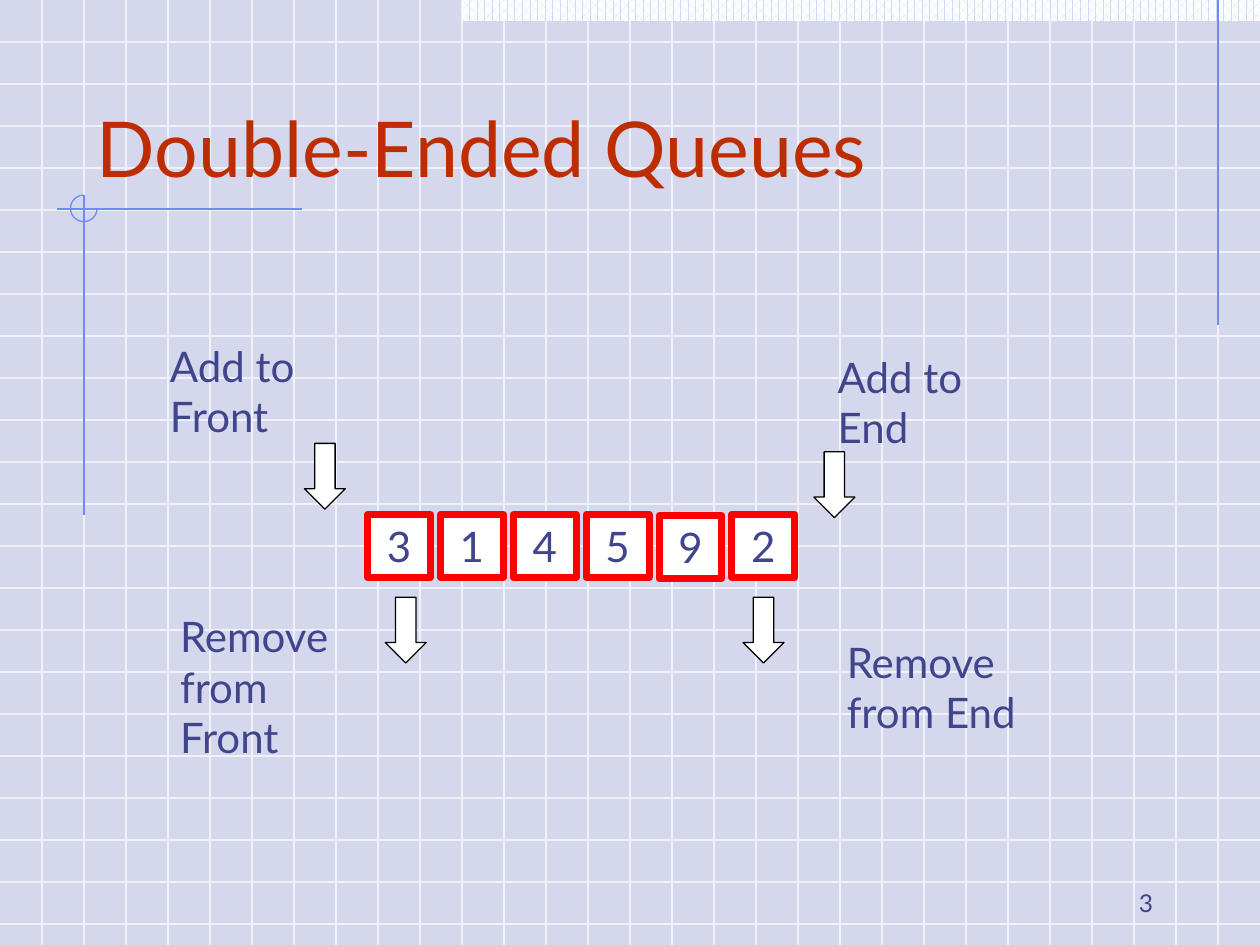
from lxml.etree import SubElement
from pptx import Presentation
from pptx.dml.color import RGBColor
from pptx.enum.dml import MSO_PATTERN
from pptx.enum.shapes import MSO_CONNECTOR, MSO_SHAPE
from pptx.enum.text import MSO_ANCHOR, PP_ALIGN
from pptx.oxml.ns import qn
from pptx.util import Pt

PAPER = RGBColor(0xD5, 0xD7, 0xEC)
GRID = RGBColor(0xF0, 0xF2, 0xFA)
PALE = RGBColor(0xCF, 0xDB, 0xFD)
BLUE = RGBColor(0x6F, 0x89, 0xF7)
RUST = RGBColor(0xBE, 0x2D, 0x00)
INK = RGBColor(0x40, 0x45, 0x8C)
RED = RGBColor(0xFF, 0x00, 0x00)
BLACK = RGBColor(0x00, 0x00, 0x00)
WHITE = RGBColor(0xFF, 0xFF, 0xFF)

WIDE, HIGH = 720, 540
deck = Presentation()
deck.slide_width, deck.slide_height = Pt(WIDE), Pt(HIGH)
slide = deck.slides.add_slide(deck.slide_layouts[5])
shapes = slide.shapes
slide.background.fill.solid()
slide.background.fill.fore_color.rgb = PAPER


def write(shape, text, size=24, color=INK, align=PP_ALIGN.LEFT, anchor=MSO_ANCHOR.TOP):
    frame = shape.text_frame
    frame.word_wrap = True
    frame.vertical_anchor = anchor
    frame.text = text
    par = frame.paragraphs[0]
    par.alignment = align
    font = par.runs[0].font
    font.name, font.size, font.color.rgb = "Lato", Pt(size), color


def rule(x1, y1, x2, y2, color):
    line = shapes.add_connector(MSO_CONNECTOR.STRAIGHT, Pt(x1), Pt(y1), Pt(x2), Pt(y2))
    line.line.color.rgb, line.line.width = color, Pt(0.75)
    SubElement(line.element.spPr, qn("a:effectLst"))


# Background grid
STEP = 24
for y in range(STEP, HIGH, STEP):
    rule(0, y, WIDE, y, GRID)
for x in range(STEP, WIDE, STEP):
    rule(x, 0, x, HIGH, GRID)

# Top band
band = shapes.add_shape(MSO_SHAPE.RECTANGLE, Pt(264), Pt(0), Pt(456), Pt(12))
band.shadow.inherit = False
band.fill.patterned()
band.fill.pattern = MSO_PATTERN.PERCENT_60
band.fill.fore_color.rgb, band.fill.back_color.rgb = PALE, WHITE
band.line.fill.background()

# Accent lines and open circle
rule(696, 0, 696, 186, BLUE)
rule(172.8, 119.4, 32.4, 119.4, BLUE)
rule(48, 111.6, 48, 294.5, BLUE)
ring = shapes.add_shape(MSO_SHAPE.ARC, Pt(40.3), Pt(111.5), Pt(15.2), Pt(15.2))
ring.shadow.inherit = False
ring.adjustments[0], ring.adjustments[1] = 0, 162
ring.fill.background()
ring.line.color.rgb, ring.line.width = BLUE, Pt(0.75)

# Title, brought in front of the grid
title = shapes.title
title.left, title.top, title.width, title.height = Pt(48), Pt(24), Pt(612), Pt(90)
write(title, "Double-Ended Queues", size=44, color=RUST, anchor=MSO_ANCHOR.BOTTOM)
title.element.getparent().append(title.element)

# Slide number
num = shapes.add_textbox(Pt(516), Pt(492), Pt(150), Pt(36))
write(num, "3", size=14, align=PP_ALIGN.RIGHT, anchor=MSO_ANCHOR.BOTTOM)

# Queue cells
for i, digit in enumerate("314592"):
    top = 294.6 if digit == "9" else 294
    cell = shapes.add_shape(MSO_SHAPE.RECTANGLE, Pt(210 + 41.65 * i), Pt(top), Pt(36), Pt(36))
    cell.shadow.inherit = False
    cell.fill.solid()
    cell.fill.fore_color.rgb = WHITE
    cell.line.color.rgb, cell.line.width = RED, Pt(4)
    write(cell, digit, align=PP_ALIGN.CENTER, anchor=MSO_ANCHOR.MIDDLE)

# Operation labels
for text, x, y, h in [
    ("Add to Front", 90, 190.8, 65.5),
    ("Remove from Front", 95.8, 345.6, 94.5),
    ("Add to End", 471.6, 197.3, 65.5),
    ("Remove from End", 476.8, 360, 65.5),
]:
    write(shapes.add_textbox(Pt(x), Pt(y), Pt(114.5), Pt(h)), text)

# Arrows in and out of the queue
for x, y in [(465.1, 258.2), (220.2, 341.3), (424.6, 341.3), (174, 253.4)]:
    arrow = shapes.add_shape(MSO_SHAPE.DOWN_ARROW, Pt(x), Pt(y), Pt(23.4), Pt(37.6))
    arrow.shadow.inherit = False
    arrow.fill.solid()
    arrow.fill.fore_color.rgb = WHITE
    arrow.line.color.rgb, arrow.line.width = BLACK, Pt(0)

deck.save("out.pptx")
